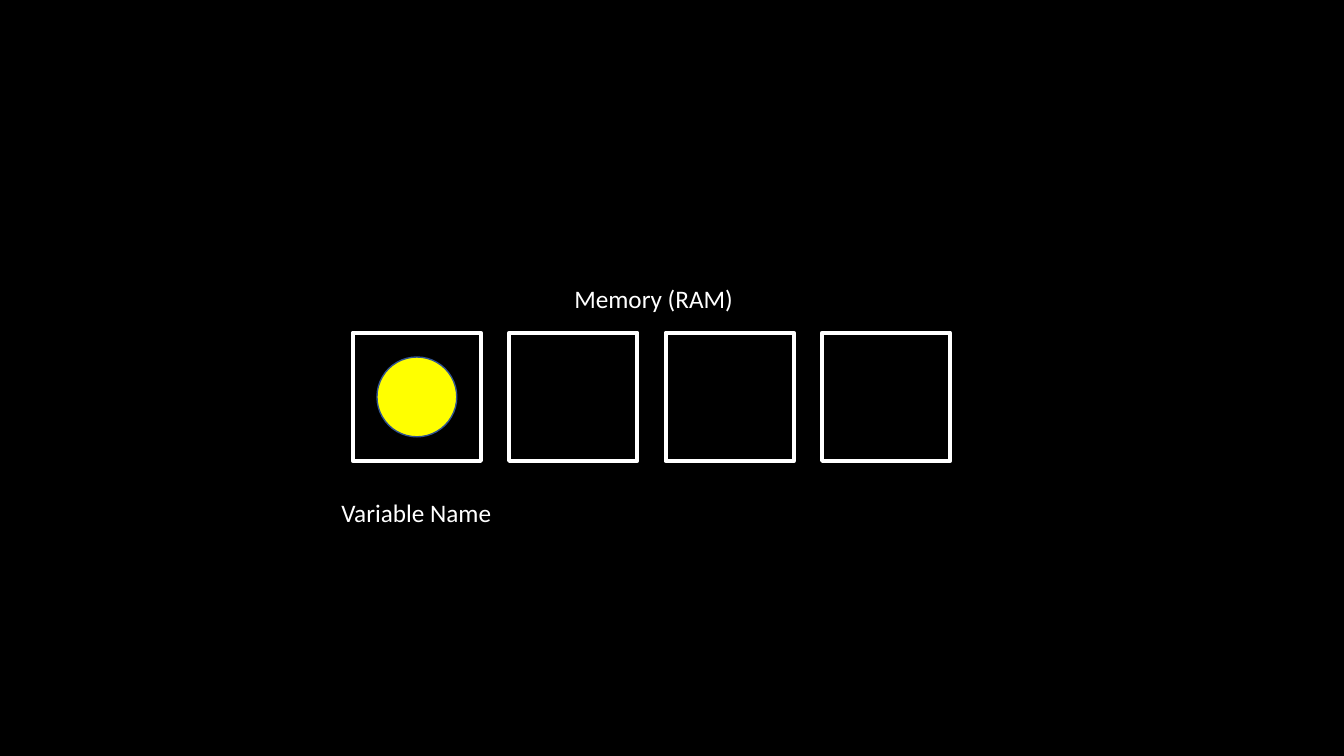
from pptx import Presentation
from pptx.dml.color import RGBColor
from pptx.enum.shapes import MSO_SHAPE as Shape
from pptx.enum.text import MSO_AUTO_SIZE as AutoSize, PP_ALIGN as Align
from pptx.util import Emu, Pt

BLACK = RGBColor(0x00, 0x00, 0x00)
WHITE = RGBColor(0xFF, 0xFF, 0xFF)
YELLOW = RGBColor(0xFF, 0xFF, 0x00)
BLUE = RGBColor(0x32, 0x54, 0x91)

EMU_PER_PX = 9525


def px(length):
    return Emu(length * EMU_PER_PX)


class MemorySlide:
    font = "Calibri"
    font_size = Pt(18)
    label_width, label_height = 181, 38

    def __init__(self, presentation):
        self.slide = presentation.slides.add_slide(presentation.slide_layouts[6])
        background = self.slide.background.fill
        background.solid()
        background.fore_color.rgb = BLACK

    def outline(self, kind, left, top, size, line_color, line_width, fill=None):
        shape = self.slide.shapes.add_shape(kind, px(left), px(top), px(size), px(size))
        shape.shadow.inherit = False
        if fill is None:
            shape.fill.background()
        else:
            shape.fill.solid()
            shape.fill.fore_color.rgb = fill
        shape.line.color.rgb = line_color
        shape.line.width = Pt(line_width)

    def label(self, text, left, top):
        box = self.slide.shapes.add_textbox(
            px(left), px(top), px(self.label_width), px(self.label_height))
        text_frame = box.text_frame
        text_frame.word_wrap = True
        text_frame.auto_size = AutoSize.SHAPE_TO_FIT_TEXT
        text_frame.text = text
        paragraph = text_frame.paragraphs[0]
        paragraph.alignment = Align.CENTER
        font = paragraph.runs[0].font
        font.name = self.font
        font.size = self.font_size
        font.color.rgb = WHITE


def main():
    presentation = Presentation()
    presentation.slide_width = px(1280)
    presentation.slide_height = px(720)
    memory = MemorySlide(presentation)

    # Row of memory cells
    cell_left, cell_top, cell_size, cell_pitch = 336, 317, 122, 149
    for index in range(4):
        memory.outline(Shape.RECTANGLE, cell_left + index * cell_pitch, cell_top,
                       cell_size, WHITE, 3)

    # Value centred in the first cell
    value_size = 76
    inset = (cell_size - value_size) // 2
    memory.outline(Shape.OVAL, cell_left + inset, cell_top + inset,
                   value_size, BLUE, 1, fill=YELLOW)

    # Labels above and below the cells
    memory.label("Memory (RAM)", 532, 265)
    memory.label("Variable Name", 306, 469)

    presentation.save("out.pptx")


if __name__ == "__main__":
    main()
